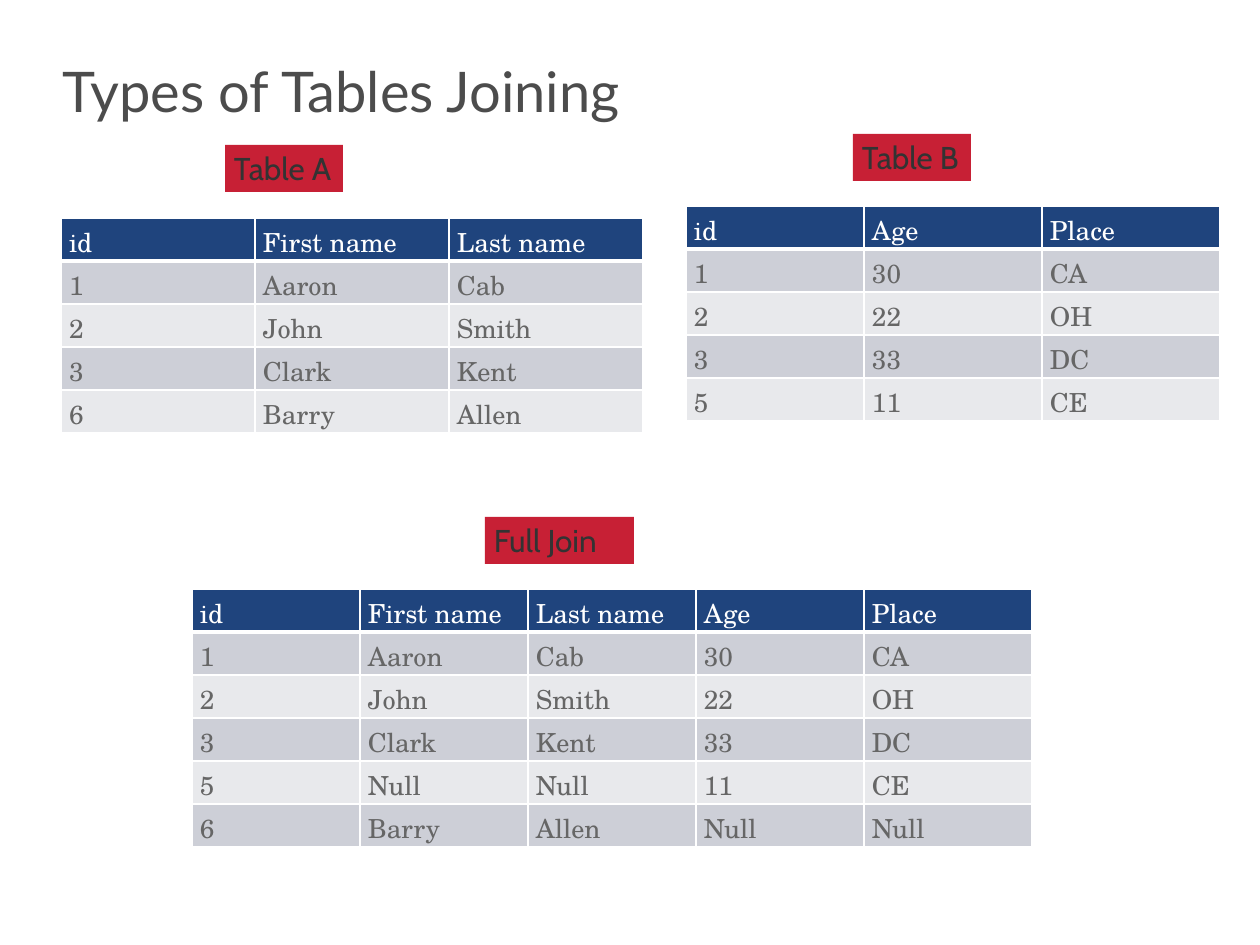
import pptx
import pptx.dml.color
import pptx.enum.shapes
import pptx.enum.text
import pptx.oxml
import pptx.oxml.ns
import pptx.util

PX_PER_INCH = 126
WHITE, NAVY, RED = "FFFFFF", "1F447D", "C72035"
BANDS = ("CDCFD7", "E8E9EC")
ROW_HEIGHT = 43


def px(length):
    return pptx.util.Emu(round(length * 914400 / PX_PER_INCH))


def color(hex_string):
    return pptx.dml.color.RGBColor.from_string(hex_string)


def add_run(paragraph, text, font, size, hex_string):
    run = paragraph.add_run()
    run.text = text
    run.font.name = font
    run.font.size = pptx.util.Pt(size)
    run.font.color.rgb = color(hex_string)


def set_margins(holder, across, down):
    holder.margin_left = holder.margin_right = px(across)
    holder.margin_top = holder.margin_bottom = px(down)


def add_title(slide, text):
    title = slide.shapes.add_textbox(px(62), px(69), px(1143), px(54))
    frame = title.text_frame
    frame.word_wrap = True
    set_margins(frame, 0, 0)
    paragraph = frame.paragraphs[0]
    paragraph.line_spacing = 0.8
    add_run(paragraph, text, "Lato", 32, "4C4C4C")


def add_label(slide, text, left, top, width):
    label = slide.shapes.add_shape(
        pptx.enum.shapes.MSO_SHAPE.RECTANGLE, px(left), px(top), px(width), px(47))
    label.shadow.inherit = False
    label.fill.solid()
    label.fill.fore_color.rgb = color(RED)
    label.line.fill.background()
    frame = label.text_frame
    frame.word_wrap = True
    frame.vertical_anchor = pptx.enum.text.MSO_ANCHOR.TOP
    set_margins(frame, 9, 4)
    frame.paragraphs[0].alignment = pptx.enum.text.PP_ALIGN.LEFT
    add_run(frame.paragraphs[0], text, "Cabin", 18, "333333")


def set_borders(cell, bottom):
    properties = cell._tc.get_or_add_tcPr()
    namespace = pptx.oxml.ns.nsdecls("a")
    for side, points in (("L", 1), ("R", 1), ("T", 1), ("B", bottom)):
        properties.append(pptx.oxml.parse_xml(
            f'<a:ln{side} {namespace} w="{pptx.util.Pt(points)}">'
            f'<a:solidFill><a:srgbClr val="{WHITE}"/></a:solidFill></a:ln{side}>'))


def add_data_table(slide, records, left, top, column_width):
    column_count = len(records[0])
    table = slide.shapes.add_table(
        len(records), column_count, px(left), px(top),
        px(column_width * column_count), px(ROW_HEIGHT * len(records))).table
    for column in table.columns:
        column.width = px(column_width)
    for row_index, record in enumerate(records):
        is_header = row_index == 0
        table.rows[row_index].height = px(ROW_HEIGHT)
        for column_index, value in enumerate(record):
            cell = table.cell(row_index, column_index)
            set_margins(cell, 8, 5)
            set_borders(cell, 3 if is_header else 1)
            cell.fill.solid()
            cell.fill.fore_color.rgb = color(
                NAVY if is_header else BANDS[(row_index - 1) % 2])
            add_run(cell.text_frame.paragraphs[0], value, "TeX Gyre Schola", 15,
                    WHITE if is_header else "666666")


def full_join(people, details):
    """Match rows on id, filling the gaps with Null."""
    names = {row[0]: row[1:] for row in people}
    facts = {row[0]: row[1:] for row in details}
    missing = ("Null", "Null")
    keys = ["id"] + sorted((names.keys() | facts.keys()) - {"id"})
    return [(key, *names.get(key, missing), *facts.get(key, missing)) for key in keys]


def main():
    presentation = pptx.Presentation()
    presentation.slide_width = px(1260)
    presentation.slide_height = px(945)
    slide = presentation.slides.add_slide(presentation.slide_layouts[6])

    people = [
        ("id", "First name", "Last name"),
        ("1", "Aaron", "Cab"),
        ("2", "John", "Smith"),
        ("3", "Clark", "Kent"),
        ("6", "Barry", "Allen"),
    ]
    details = [
        ("id", "Age", "Place"),
        ("1", "30", "CA"),
        ("2", "22", "OH"),
        ("3", "33", "DC"),
        ("5", "11", "CE"),
    ]

    add_title(slide, "Types of Tables Joining")

    # The two source tables and their join
    add_data_table(slide, people, 61, 218, 194)
    add_data_table(slide, details, 686, 206, 178)
    add_data_table(slide, full_join(people, details), 192, 589, 168)

    # Labels above the tables
    add_label(slide, "Full Join", 485, 517, 149)
    add_label(slide, "Table A", 225, 145, 118)
    add_label(slide, "Table B", 853, 134, 118)

    presentation.save("out.pptx")


if __name__ == "__main__":
    main()
